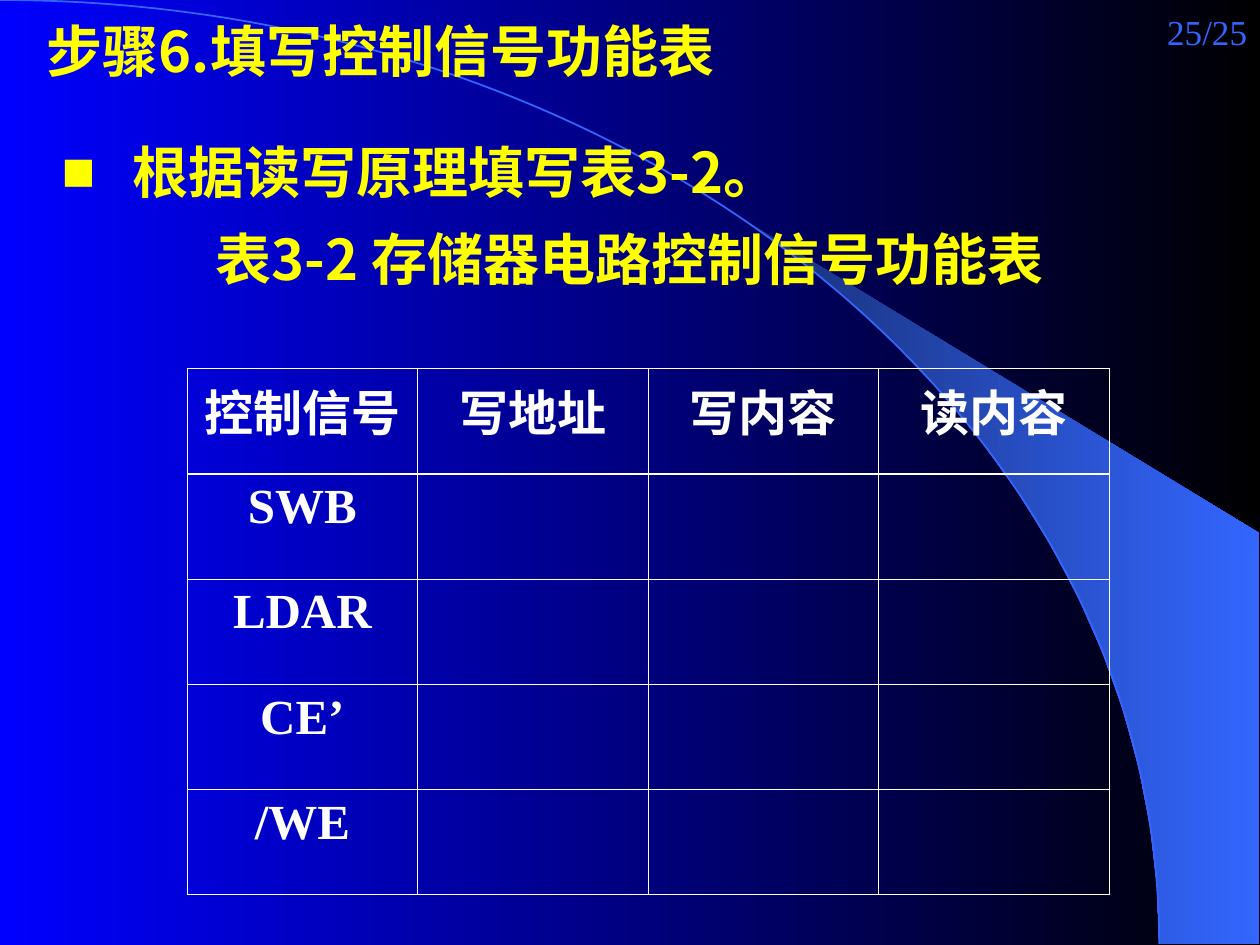
import math
from dataclasses import dataclass
from typing import Any, Optional

from lxml import etree
from pptx import Presentation
from pptx import util as u
from pptx.dml.color import RGBColor
from pptx.enum import text
from pptx.oxml import ns

Point = tuple[float, float]


@dataclass(frozen=True)
class Theme:
    blue: str = "0000FF"
    black: str = "000000"
    navy: str = "182F76"
    accent: str = "3366FF"
    yellow: str = "FFFF00"
    white: str = "FFFFFF"
    heading_font: str = "Noto Sans CJK SC"
    table_font: str = "Times New Roman"
    heading_size: float = 32
    table_size: float = 28
    number_size: float = 20
    thin: float = 0.45
    thick: float = 1.47


@dataclass(frozen=True)
class Box:
    left: float
    top: float
    width: float
    height: float

    def lengths(self) -> list[u.Length]:
        return [u.Pt(v) for v in (self.left, self.top, self.width, self.height)]


@dataclass(frozen=True)
class Style:
    font: str
    size: float
    color: str
    bold: bool = True


THEME = Theme()
HEADING = Style(THEME.heading_font, THEME.heading_size, THEME.yellow)
TABLE_TEXT = Style(THEME.table_font, THEME.table_size, THEME.white)
NUMBER = Style(THEME.table_font, THEME.number_size, THEME.accent, False)

# Quarter ellipse that sweeps from the top left corner to the bottom edge
ARC_WIDTH, ARC_HEIGHT = 662.4, 539.28
ARC_PULL = 4 / 3 * (math.sqrt(2) - 1)  # Bezier handle length of a quarter turn
WEDGE_LEFT, WEDGE_RIGHT, WEDGE_TOP_RIGHT = 424, 719.28, 304.56

TITLE_BOX = Box(19.5, 5.75, 680, 46)
BODY_BOX = Box(28, 67.5, 495, 53)
CAPTION_BOX = Box(19.5, 124.5, 681, 46)
NUMBER_BOX = Box(646.5, 0, 73.25, 36)
TABLE_BOX = Box(106.9, 210.6, 527, 300.5)

HEADERS = ["控制信号", "写地址", "写内容", "读内容"]
SIGNALS = ["SWB", "LDAR", "CE’", "/WE"]


def assign(target: Any, values: dict[str, Any]) -> None:
    for name, value in values.items():
        setattr(target, name, value)


def add_child(parent: Any, tag: str, **attributes: str) -> Any:
    return etree.SubElement(parent, ns.qn(tag), attributes)


def write(frame: Any, content: str, style: Style, **para_format: Any) -> Any:
    para = frame.paragraphs[0]
    assign(para, para_format)
    span = para.add_run()
    span.text = content
    assign(span.font, {"name": style.font, "size": u.Pt(style.size), "bold": style.bold})
    span.font.color.rgb = RGBColor.from_string(style.color)
    add_child(span.font._element, "a:ea", typeface=THEME.heading_font)
    return para


def place(shape: Any, box: Box) -> None:
    assign(shape, dict(zip(("left", "top", "width", "height"), box.lengths())))


def format_frame(frame: Any, anchor: Any = text.MSO_ANCHOR.TOP,
                 fit: Any = text.MSO_AUTO_SIZE.SHAPE_TO_FIT_TEXT) -> None:
    assign(frame, {
        "word_wrap": True, "auto_size": fit, "vertical_anchor": anchor,
        "margin_left": u.Pt(7.2), "margin_right": u.Pt(7.2),
        "margin_top": u.Pt(3.6), "margin_bottom": u.Pt(3.6),
    })


def set_gradient(fill: Any, start: str, end: str) -> None:
    fill.gradient()
    fill.gradient_angle = 0
    for stop, color, position in zip(fill.gradient_stops, (start, end), (0, 1)):
        stop.color.rgb = RGBColor.from_string(color)
        stop.position = position


def arc_points(start: float, steps: int) -> list[Point]:
    """Points on the ellipse from the angle start to its right end."""
    angles = [start + (math.pi / 2 - start) * i / steps for i in range(steps + 1)]
    return [(ARC_WIDTH * math.sin(a), ARC_HEIGHT * (1 - math.cos(a))) for a in angles]


def draw_outline(page: Any, points: list[Point], close: bool) -> Any:
    corners = [(u.Pt(x), u.Pt(y)) for x, y in points]
    builder = page.shapes.build_freeform(*corners[0], scale=1.0)
    builder.add_line_segments(corners[1:], close=close)
    shape = builder.convert_to_shape()
    shape.shadow.inherit = False
    return shape


def bend(shape: Any, handles: list[Point]) -> None:
    """Turn the only segment of an outline at the page corner into a curve."""
    segment = next(shape.element.iter(ns.qn("a:lnTo")))
    segment.tag = ns.qn("a:cubicBezTo")
    for index, (x, y) in enumerate(handles):
        segment.insert(index, etree.Element(
            ns.qn("a:pt"), {"x": str(u.Pt(x)), "y": str(u.Pt(y))}))


def draw_backdrop(page: Any) -> None:
    set_gradient(page.background.fill, THEME.blue, THEME.black)

    # Lit wedge to the right of the arc
    edge = arc_points(math.asin(WEDGE_LEFT / ARC_WIDTH), 14)
    corners = [(WEDGE_RIGHT, ARC_HEIGHT), (WEDGE_RIGHT, WEDGE_TOP_RIGHT)]
    wedge = draw_outline(page, edge + corners, True)
    set_gradient(wedge.fill, THEME.navy, THEME.accent)
    wedge.line.fill.background()

    # Arc line
    arc = draw_outline(page, [(0, 0), (ARC_WIDTH, ARC_HEIGHT)], False)
    bend(arc, [(ARC_WIDTH * ARC_PULL, 0), (ARC_WIDTH, ARC_HEIGHT * (1 - ARC_PULL))])
    arc.fill.background()
    arc.line.color.rgb = RGBColor.from_string(THEME.accent)
    arc.line.width = u.Pt(1)


def set_placeholder(shape: Any, box: Box, content: str, **para_format: Any) -> Any:
    place(shape, box)
    format_frame(shape.text_frame)
    shape.element.getparent().append(shape.element)  # in front of the backdrop
    return write(shape.text_frame, content, HEADING, **para_format)


def add_bullet(para: Any, mark: str, indent: float) -> None:
    props = para._p.get_or_add_pPr()
    props.set("marL", str(u.Pt(indent)))
    props.set("indent", str(-u.Pt(indent)))
    add_child(add_child(props, "a:buClr"), "a:srgbClr", val=THEME.yellow)
    add_child(props, "a:buFont", typeface=THEME.table_font)
    add_child(props, "a:buChar", char=mark)


def add_label(page: Any, box: Box, content: str, style: Style, align: Any,
              before: float = 0, **frame_format: Any) -> None:
    frame = page.shapes.add_textbox(*box.lengths()).text_frame
    format_frame(frame, **frame_format)
    write(frame, content, style, alignment=align, space_before=u.Pt(before))


def set_borders(cell: Any, widths: dict[str, float]) -> None:
    props = cell._tc.get_or_add_tcPr()
    for side, width in widths.items():
        line = add_child(props, f"a:ln{side}", w=str(u.Pt(width)))
        add_child(add_child(line, "a:solidFill"), "a:srgbClr", val=THEME.white)


def cell_text(row: int, column: int) -> Optional[str]:
    if row == 0:
        return HEADERS[column]
    return SIGNALS[row - 1] if column == 0 else None


def draw_table(page: Any) -> None:
    rows, columns = len(SIGNALS) + 1, len(HEADERS)
    table = page.shapes.add_table(rows, columns, *TABLE_BOX.lengths()).table
    assign(table, {"first_row": False, "horz_banding": False})
    for row in range(rows):
        for column in range(columns):
            cell = table.cell(row, column)
            top, bottom = (THEME.thick if row == r else THEME.thin for r in (1, 0))
            set_borders(cell, {"L": THEME.thin, "R": THEME.thin, "T": top, "B": bottom})
            cell.fill.background()
            content = cell_text(row, column)
            if content:
                write(cell.text_frame, content, TABLE_TEXT, alignment=text.PP_ALIGN.CENTER)


def main() -> None:
    deck = Presentation()
    assign(deck, {"slide_width": u.Pt(720), "slide_height": u.Pt(540)})
    page = deck.slides.add_slide(deck.slide_layouts[1])
    draw_backdrop(page)
    # Page number, caption and table
    add_label(page, NUMBER_BOX, "25/25", NUMBER, text.PP_ALIGN.RIGHT,
              anchor=text.MSO_ANCHOR.MIDDLE, fit=text.MSO_AUTO_SIZE.NONE)
    add_label(page, CAPTION_BOX, "表3-2 存储器电路控制信号功能表", HEADING,
              text.PP_ALIGN.CENTER, before=20)
    draw_table(page)
    # Bullet and title
    bullet = set_placeholder(page.placeholders[1], BODY_BOX, "根据读写原理填写表3-2。",
                             line_spacing=1.2, space_before=u.Pt(8), space_after=u.Pt(16))
    add_bullet(bullet, "■", 40.32)
    set_placeholder(page.shapes.title, TITLE_BOX, "步骤6.填写控制信号功能表",
                    alignment=text.PP_ALIGN.LEFT, space_before=u.Pt(20))
    deck.save("out.pptx")


if __name__ == "__main__":
    main()
